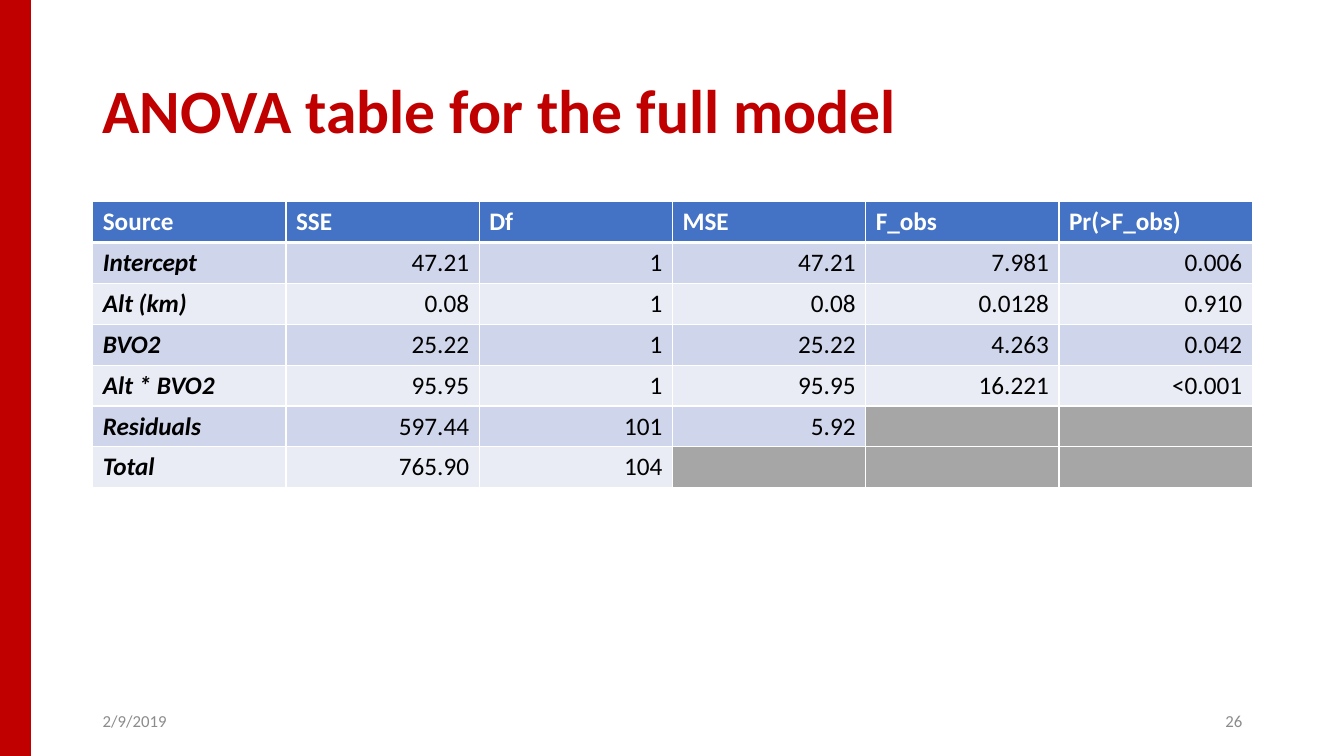
import dataclasses

import lxml.etree
import pptx
import pptx.dml.color
import pptx.enum.shapes
import pptx.enum.text
import pptx.oxml.ns
import pptx.util

Inches = pptx.util.Inches
ALIGN = pptx.enum.text.PP_ALIGN
FONT = "Calibri"
COLORS = {
    "red": "C00000", "header": "4472C4", "dark_band": "CFD5EA",
    "light_band": "E9EBF5", "unused": "A6A6A6", "footer": "8C8C8C",
    "white": "FFFFFF", "black": "000000",
}
ROWS = [
    ("Source", "SSE", "Df", "MSE", "F_obs", "Pr(>F_obs)"),
    ("Intercept", "47.21", "1", "47.21", "7.981", "0.006"),
    ("Alt (km)", "0.08", "1", "0.08", "0.0128", "0.910"),
    ("BVO2", "25.22", "1", "25.22", "4.263", "0.042"),
    ("Alt * BVO2", "95.95", "1", "95.95", "16.221", "<0.001"),
    ("Residuals", "597.44", "101", "5.92", "", ""),
    ("Total", "765.90", "104", "", "", ""),
]


@dataclasses.dataclass
class Style:
    size: int
    color: str
    bold: bool = False
    italic: bool = False
    align: ALIGN = ALIGN.LEFT
    spacing: float = 1.0


@dataclasses.dataclass
class Label:
    text: str
    left: float
    top: float
    width: float
    height: float
    style: Style


LABELS = [
    Label("ANOVA table for the full model", 0.92, 0.4, 11.5, 1.45,
          Style(44, "red", bold=True, spacing=0.9)),
    Label("2/9/2019", 0.92, 6.95, 3, 0.4, Style(12, "footer")),
    Label("26", 9.42, 6.95, 3, 0.4, Style(12, "footer", align=ALIGN.RIGHT)),
]


def rgb(name: str) -> pptx.dml.color.RGBColor:
    return pptx.dml.color.RGBColor.from_string(COLORS[name])


def write(tf, text: str, style: Style) -> None:
    p = tf.paragraphs[0]
    p.alignment = style.align
    p.line_spacing = style.spacing
    r = p.add_run()
    r.text = text
    r.font.name = FONT
    r.font.size = pptx.util.Pt(style.size)
    r.font.bold = style.bold
    r.font.italic = style.italic
    r.font.color.rgb = rgb(style.color)


def add_label(s, label: Label) -> None:
    sp = s.shapes.add_textbox(Inches(label.left), Inches(label.top),
                              Inches(label.width), Inches(label.height))
    tf = sp.text_frame
    tf.word_wrap = True
    tf.vertical_anchor = pptx.enum.text.MSO_ANCHOR.MIDDLE
    write(tf, label.text, label.style)


def set_borders(cell, widths: dict[str, int]) -> None:
    """Draw white borders; widths maps a side (L, R, T, B) to points."""
    qn = pptx.oxml.ns.qn
    tc_pr = cell._tc.get_or_add_tcPr()
    for i, (side, width) in enumerate(widths.items()):
        ln = lxml.etree.Element(qn(f"a:ln{side}"), w=str(pptx.util.Pt(width)))
        fill = lxml.etree.SubElement(ln, qn("a:solidFill"))
        lxml.etree.SubElement(fill, qn("a:srgbClr"), val=COLORS["white"])
        tc_pr.insert(i, ln)


def cell_look(row: int, col: int, text: str) -> tuple[str, Style]:
    """Return the fill and the text style of a cell."""
    if row == 0:
        return "header", Style(18, "white", bold=True)
    band = "dark_band" if row % 2 else "light_band"
    if col == 0:
        return band, Style(18, "black", bold=True, italic=True)
    return band if text else "unused", Style(18, "black", align=ALIGN.RIGHT)


def add_anova_table(s) -> None:
    table = s.shapes.add_table(len(ROWS), len(ROWS[0]), Inches(0.92), Inches(2),
                               Inches(11.5), Inches(2.84)).table
    for i, values in enumerate(ROWS):
        for j, text in enumerate(values):
            cell = table.cell(i, j)
            fill, style = cell_look(i, j, text)
            cell.fill.solid()
            cell.fill.fore_color.rgb = rgb(fill)
            set_borders(cell, {"L": 1, "R": 1, "T": 3 if i == 1 else 1,
                               "B": 3 if i == 0 else 1})
            if text:
                write(cell.text_frame, text, style)


def main() -> None:
    prs = pptx.Presentation()
    prs.slide_width, prs.slide_height = Inches(13.33), Inches(7.5)
    s = prs.slides.add_slide(prs.slide_layouts[6])

    # Red band on the left edge
    sp = s.shapes.add_shape(pptx.enum.shapes.MSO_SHAPE.RECTANGLE,
                            0, 0, Inches(0.3), prs.slide_height)
    sp.shadow.inherit = False
    sp.fill.solid()
    sp.fill.fore_color.rgb = rgb("red")
    sp.line.color.rgb = rgb("red")
    sp.line.width = pptx.util.Pt(1)

    # Title, date and page number
    for label in LABELS:
        add_label(s, label)

    # ANOVA table
    add_anova_table(s)

    prs.save("out.pptx")


if __name__ == "__main__":
    main()
